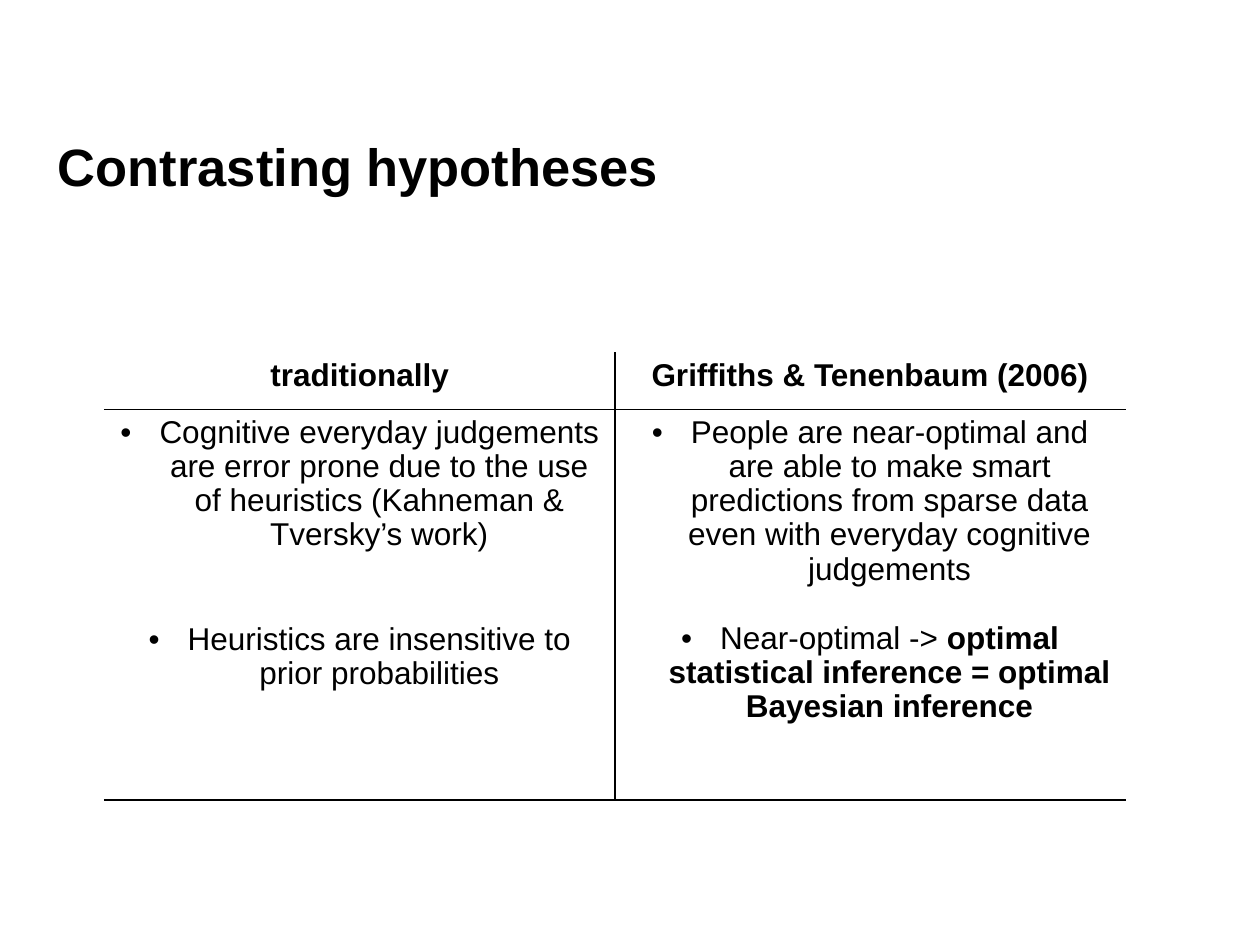
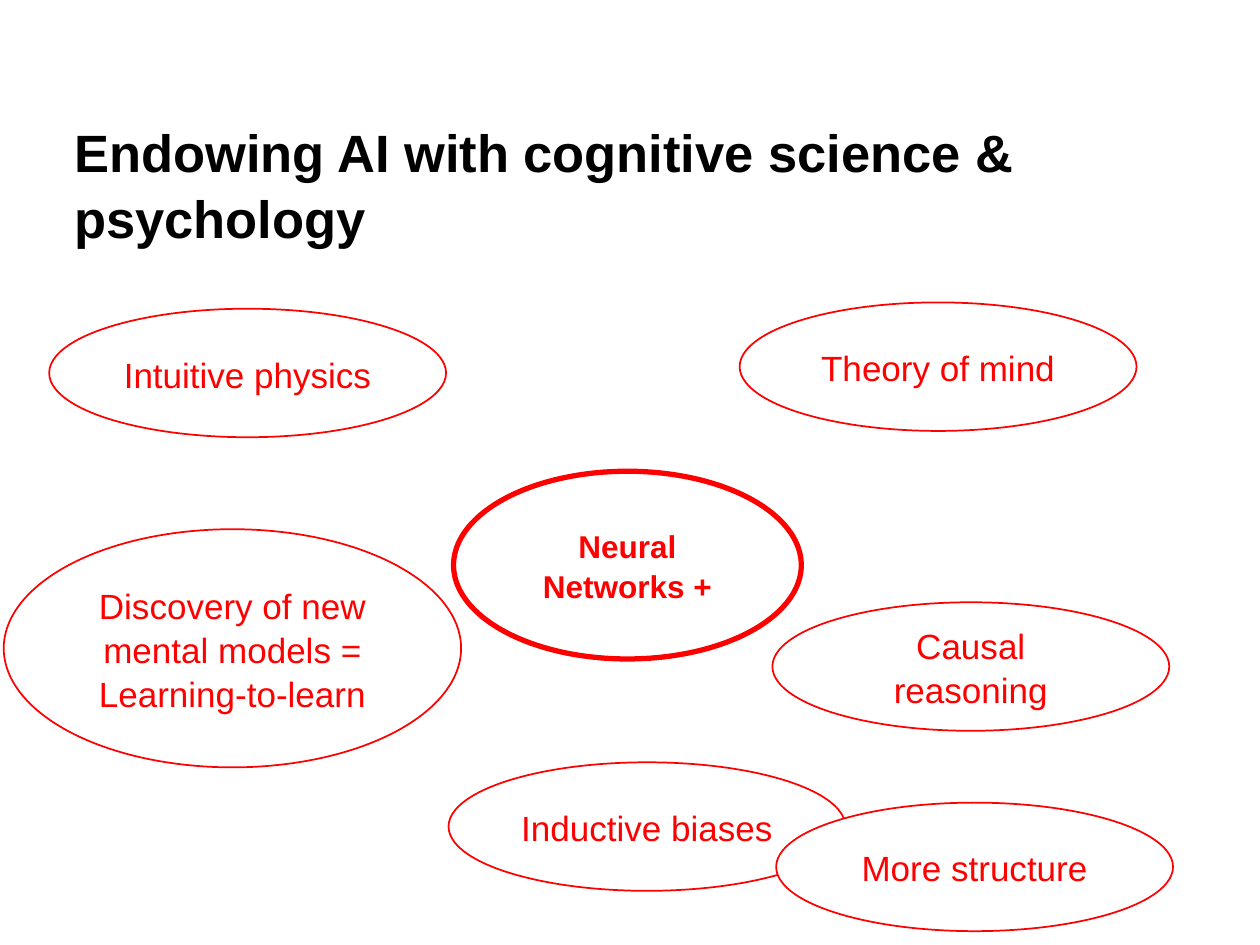
"""Build two slides: contrasting hypotheses and cognitive ingredients for AI."""
from dataclasses import dataclass

from lxml import etree
from pptx import Presentation
from pptx import util as u
from pptx.dml.color import RGBColor
from pptx.enum import shapes, text
from pptx.oxml.ns import qn


@dataclass(frozen=True)
class Theme:
    font: str = "Arial"
    ink: str = "000000"
    paper: str = "FFFFFF"
    accent: str = "FF0000"
    title_size: int = 30
    idea_size: int = 20
    body_size: int = 18
    loose: float = 1.05
    tight: float = 0.97
    bullet_indent: float = 0.31


THEME = Theme()
SLIDE_SIZE = (10, 7.5)
TITLE_SIZE = (9.28, 1.42)

HYPOTHESES = {
    "title": "Contrasting hypotheses",
    "title_at": (0.36, 0.99),
    "views": [
        {
            "head": "traditionally",
            "claims": [
                [("Cognitive everyday judgements are error prone due to the use of "
                  "heuristics (Kahneman & Tversky’s work)", False)],
                [("Heuristics are insensitive to prior probabilities", False)],
            ],
            "gap": 40,
        },
        {
            "head": "Griffiths & Tenenbaum (2006)",
            "claims": [
                [("People are near-optimal and are able to make smart predictions from "
                  "sparse data even with everyday cognitive judgements", False)],
                [("Near-optimal -> ", False),
                 ("optimal statistical inference = optimal Bayesian inference", True)],
            ],
            "gap": 20,
        },
    ],
    "table_at": (0.83, 2.8),
    "column": 4.05,
    "rows": (0.45, 3.1),
}

IDEA = (3.15, 1.02)
ENDOWING = {
    "title": "Endowing AI with cognitive science & psychology",
    "title_at": (0.49, 0.88),
    "core": ("Neural Networks +", (3.6, 3.74), (2.76, 1.49)),
    "ideas": [
        ("Intuitive physics", (0.39, 2.45), IDEA),
        ("Theory of mind", (5.87, 2.4), IDEA),
        ("Causal reasoning", (6.13, 4.78), IDEA),
        ("Inductive biases", (3.56, 6.05), IDEA),
        ("More structure", (6.16, 6.37), IDEA),
        ("Discovery of new mental models = Learning-to-learn", (0.03, 4.2), (3.63, 1.89)),
    ],
}


def inches(*lengths):
    return [u.Inches(length) for length in lengths]


def write(frame, paragraphs, size, color=THEME.ink, align=text.PP_ALIGN.CENTER,
          anchor=None, spacing=THEME.loose, bullet=False, gap=0):
    frame.word_wrap = True
    if anchor is not None:
        frame.vertical_anchor = anchor
    for index, runs in enumerate(paragraphs):
        paragraph = frame.add_paragraph() if index else frame.paragraphs[0]
        paragraph.alignment, paragraph.line_spacing = align, spacing
        if index:
            paragraph.space_before = u.Pt(gap)
        if bullet:
            properties = paragraph._p.get_or_add_pPr()
            indent = u.Inches(THEME.bullet_indent)
            properties.set("marL", str(indent))
            properties.set("indent", str(-indent))
            etree.SubElement(properties, qn("a:buFont"), typeface=THEME.font)
            etree.SubElement(properties, qn("a:buChar"), char="•")
        for words, bold in runs:
            run = paragraph.add_run()
            run.text = words
            run.font.name, run.font.size, run.font.bold = THEME.font, u.Pt(size), bold
            run.font.color.rgb = RGBColor.from_string(color)


def add_titled_slide(deck, content):
    slide = deck.slides.add_slide(deck.slide_layouts[5])
    title = slide.shapes.title
    title.left, title.top = inches(*content["title_at"])
    title.width, title.height = inches(*TITLE_SIZE)
    title.text_frame.auto_size = text.MSO_AUTO_SIZE.NONE
    write(title.text_frame, [[(content["title"], True)]], THEME.title_size,
          align=text.PP_ALIGN.LEFT, anchor=text.MSO_ANCHOR.TOP)
    return slide


def set_borders(cell, ruled):
    properties = cell._tc.get_or_add_tcPr()
    for side in "LRTB":
        line = etree.SubElement(properties, qn(f"a:ln{side}"), w=str(u.Pt(1)))
        fill = etree.SubElement(line, qn("a:solidFill"))
        color = THEME.ink if side in ruled else THEME.paper
        etree.SubElement(fill, qn("a:srgbClr"), val=color)


def build_hypotheses(deck):
    slide = add_titled_slide(deck, HYPOTHESES)
    views, rows = HYPOTHESES["views"], HYPOTHESES["rows"]
    size = (HYPOTHESES["column"] * len(views), sum(rows))
    comparison = slide.shapes.add_table(
        len(rows), len(views), *inches(*HYPOTHESES["table_at"], *size)).table
    comparison.first_row = comparison.horz_banding = False
    for row, height in zip(comparison.rows, rows):
        row.height = u.Inches(height)
    for column, view in enumerate(views):
        comparison.columns[column].width = u.Inches(HYPOTHESES["column"])
        head, claims = (comparison.cell(row, column) for row in range(len(rows)))
        divider = "L" if column else "R"
        for cell, ruled in ((head, "B"), (claims, "TB")):
            set_borders(cell, ruled + divider)
            cell.fill.solid()
            cell.fill.fore_color.rgb = RGBColor.from_string(THEME.paper)
        write(head.text_frame, [[(view["head"], True)]], THEME.body_size,
              spacing=THEME.tight)
        write(claims.text_frame, view["claims"], THEME.body_size,
              spacing=THEME.tight, bullet=True, gap=view["gap"])


def add_idea(slide, words, at, size, line=1, type_size=THEME.idea_size, bold=False):
    idea = slide.shapes.add_shape(shapes.MSO_SHAPE.OVAL, *inches(*at, *size))
    idea.shadow.inherit = False
    idea.fill.solid()
    idea.fill.fore_color.rgb = RGBColor.from_string(THEME.paper)
    idea.line.color.rgb = RGBColor.from_string(THEME.accent)
    idea.line.width = u.Pt(line)
    write(idea.text_frame, [[(words, bold)]], type_size, color=THEME.accent,
          anchor=text.MSO_ANCHOR.MIDDLE)


def build_endowing(deck):
    slide = add_titled_slide(deck, ENDOWING)
    add_idea(slide, *ENDOWING["core"], line=3, type_size=THEME.body_size, bold=True)
    for idea in ENDOWING["ideas"]:
        add_idea(slide, *idea)


def main():
    deck = Presentation()
    deck.slide_width, deck.slide_height = inches(*SLIDE_SIZE)
    build_hypotheses(deck)
    build_endowing(deck)
    deck.save("out.pptx")


if __name__ == "__main__":
    main()
